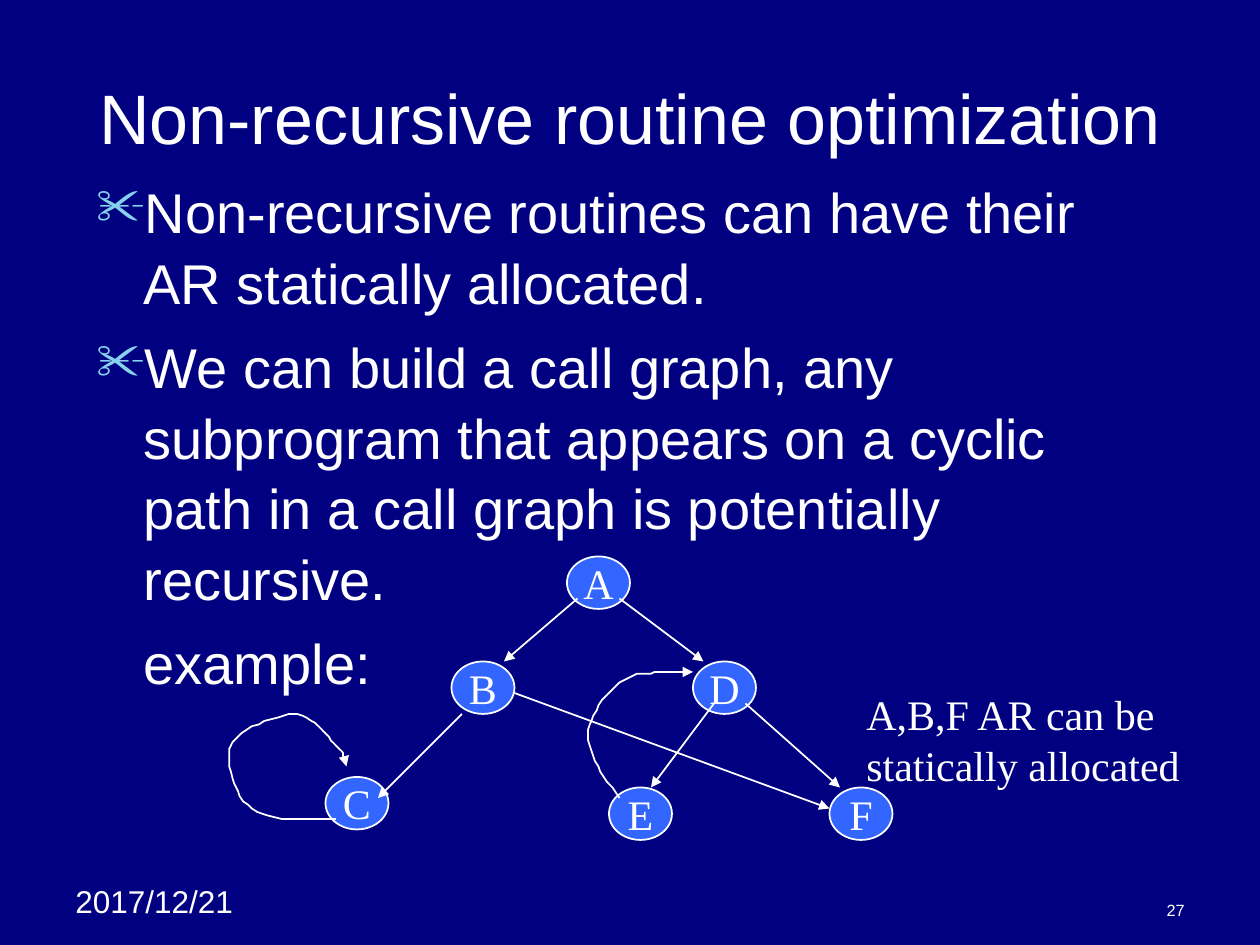
from dataclasses import dataclass

import pptx
import pptx.dml.color
import pptx.enum.shapes
import pptx.enum.text
import pptx.oxml
import pptx.oxml.ns
import pptx.util

Pt = pptx.util.Pt
qn = pptx.oxml.ns.qn
ALIGN = pptx.enum.text.PP_ALIGN
ANCHOR = pptx.enum.text.MSO_ANCHOR

COLORS = {"background": "000080", "text": "FFFFFF", "node": "3366FF", "bullet": "86D1EC"}
SANS, SERIF = "Arial", "Times New Roman"
NODE_W, NODE_H = 36, 30
CURVE_STEPS = 12

Point = tuple[float, float]


@dataclass
class Label:
    lines: list[str]
    box: tuple[float, float, float, float]
    size: float
    font: str = SANS
    align: ALIGN = ALIGN.LEFT
    anchor: ANCHOR = ANCHOR.TOP
    wrap: bool = True


@dataclass
class Node:
    name: str
    left: float
    top: float


@dataclass
class Call:
    start: Point
    end: Point


@dataclass
class CurvedCall:
    """Each segment holds two control points and an end point."""
    start: Point
    segments: list[tuple[Point, Point, Point]]


LABELS = [
    Label(["2017/12/21"], (36, 500.4, 114, 29), 18),
    Label(["27"], (516, 510, 168, 19.2), 9.3, align=ALIGN.RIGHT, anchor=ANCHOR.BOTTOM),
    Label(["Non-recursive routine optimization"], (36, 21.6, 648, 90), 40,
          align=ALIGN.CENTER, anchor=ANCHOR.MIDDLE),
    Label(["A,B,F AR can be", "statically allocated"], (488, 390, 194, 65), 24, SERIF,
          wrap=False),
]
BODY = Label([
    "Non-recursive routines can have their AR statically allocated.",
    "We can build a call graph, any subprogram that appears on a cyclic path "
    "in a call graph is potentially recursive.",
    "example:",
], (48, 96, 612, 390), 32)
BULLETED = 2

NODES = [Node("A", 324, 318), Node("B", 258, 378), Node("C", 186, 444),
         Node("D", 396, 378), Node("E", 348, 450), Node("F", 474, 450)]
CALLS = [
    Call((330, 342), (288, 378)),
    Call((264, 408), (216, 456)),
    Call((354, 342), (402, 378)),
    Call((408, 402), (372, 450)),
    Call((426, 402), (480, 450)),
    Call((294, 396), (474, 462)),
]
CURVED_CALLS = [
    CurvedCall((192, 468), [
        ((173, 469), (154, 469), (144, 462)),
        ((134, 455), (128, 435), (132, 426)),
        ((136, 417), (158, 408), (168, 408)),
        ((178, 408), (187, 421), (192, 426)),
        ((197, 431), (197, 434), (198, 438)),
    ]),
    CurvedCall((354, 456), [
        ((345, 444), (336, 431), (336, 420)),
        ((336, 409), (347, 396), (354, 390)),
        ((361, 384), (370, 385), (378, 384)),
        ((385, 383), (390, 384), (396, 384)),
    ]),
]


def rgb(name: str) -> pptx.dml.color.RGBColor:
    return pptx.dml.color.RGBColor.from_string(COLORS[name])


def style_paragraph(p, size: float, font: str, align: ALIGN) -> None:
    p.alignment = align
    for r in p.runs:
        r.font.size = Pt(size)
        r.font.name = font
        r.font.color.rgb = rgb("text")


def style_line(sp, arrow: bool = False) -> None:
    sp.line.color.rgb = rgb("text")
    sp.line.width = Pt(1)
    if arrow:
        ln = sp.line._get_or_add_ln()
        ln.append(pptx.oxml.parse_xml(
            f'<a:tailEnd {pptx.oxml.ns.nsdecls("a")} type="triangle"/>'))


def add_label(slide, label: Label):
    sp = slide.shapes.add_textbox(*map(Pt, label.box))
    tf = sp.text_frame
    tf.word_wrap = label.wrap
    tf.vertical_anchor = label.anchor
    tf.text = "\n".join(label.lines)
    for p in tf.paragraphs:
        style_paragraph(p, label.size, label.font, label.align)
    return sp


def add_bullet(p) -> None:
    pPr = p._p.get_or_add_pPr()
    color = pptx.oxml.ns.nsdecls("a")
    for xml in (f'<a:buClr {color}><a:srgbClr val="{COLORS["bullet"]}"/></a:buClr>',
                f'<a:buSzPct {color} val="90000"/>',
                f'<a:buChar {color} char="✂"/>'):
        pPr.append(pptx.oxml.parse_xml(xml))


def add_body(slide, label: Label) -> None:
    tf = add_label(slide, label).text_frame
    for i, p in enumerate(tf.paragraphs):
        p.line_spacing = 1.05
        p.space_before = Pt(8 if i else 0)
        pPr = p._p.get_or_add_pPr()
        pPr.set("marL", str(Pt(27)))
        pPr.set("indent", str(Pt(-27 if i < BULLETED else 0)))
        if i < BULLETED:
            add_bullet(p)


def add_node(slide, node: Node) -> None:
    sp = slide.shapes.add_shape(pptx.enum.shapes.MSO_SHAPE.OVAL, Pt(node.left),
                                Pt(node.top), Pt(NODE_W), Pt(NODE_H))
    sp.shadow.inherit = False
    sp.fill.solid()
    sp.fill.fore_color.rgb = rgb("node")
    style_line(sp)
    tf = sp.text_frame
    tf.word_wrap = False
    tf.vertical_anchor = ANCHOR.MIDDLE
    tf.text = node.name
    style_paragraph(tf.paragraphs[0], 24, SERIF, ALIGN.CENTER)


def add_call(slide, call: Call) -> None:
    sp = slide.shapes.add_connector(pptx.enum.shapes.MSO_CONNECTOR.STRAIGHT,
                                    *map(Pt, call.start + call.end))
    style_line(sp, arrow=True)
    pptx.oxml.ns  # namespace helpers
    sp._element.spPr.append(pptx.oxml.parse_xml(
        f'<a:effectLst {pptx.oxml.ns.nsdecls("a")}/>'))


def curve_points(curve: CurvedCall) -> list[Point]:
    """Sample the chain of cubic Bezier segments, leaving out the start point."""
    points, a = [], curve.start
    for b, c, d in curve.segments:
        for step in range(1, CURVE_STEPS + 1):
            t = step / CURVE_STEPS
            u = 1 - t
            weights = (u ** 3, 3 * u * u * t, 3 * u * t * t, t ** 3)
            points.append(tuple(sum(w * q[axis] for w, q in zip(weights, (a, b, c, d)))
                                for axis in (0, 1)))
        a = d
    return points


def add_curved_call(slide, curve: CurvedCall) -> None:
    builder = slide.shapes.build_freeform(*curve.start, scale=float(Pt(1)))
    builder.add_line_segments(curve_points(curve), close=False)
    sp = builder.convert_to_shape()
    sp.shadow.inherit = False
    sp.fill.background()
    style_line(sp, arrow=True)


def main() -> None:
    prs = pptx.Presentation()
    prs.slide_width, prs.slide_height = Pt(720), Pt(540)
    slide = prs.slides.add_slide(prs.slide_layouts[6])
    slide.background.fill.solid()
    slide.background.fill.fore_color.rgb = rgb("background")
    for label in LABELS:
        add_label(slide, label)
    add_body(slide, BODY)
    for node in NODES:
        add_node(slide, node)
    for call in CALLS:
        add_call(slide, call)
    for curve in CURVED_CALLS:
        add_curved_call(slide, curve)
    prs.save("out.pptx")


if __name__ == "__main__":
    main()
